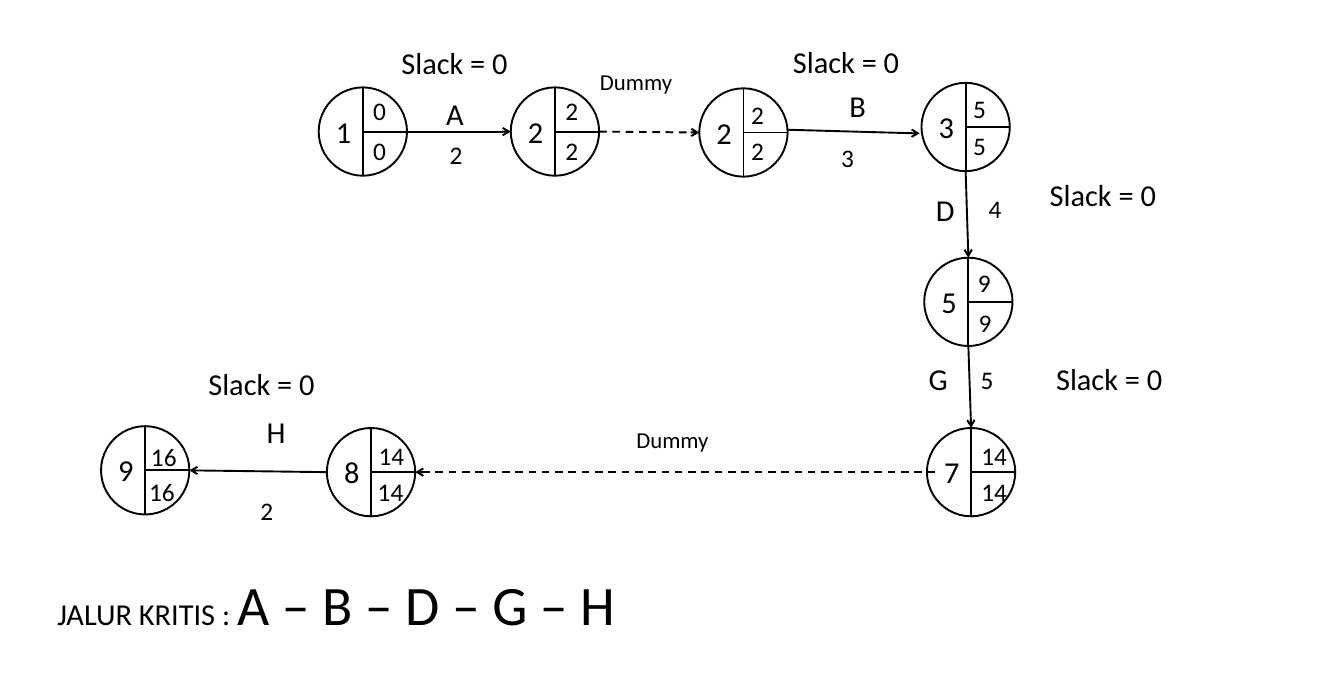
import lxml.etree
import pptx
import pptx.dml.color
import pptx.enum.dml
import pptx.enum.shapes
import pptx.enum.text
import pptx.oxml.ns
import pptx.util

COLUMNS, ROWS = 147.6, 75
CELL = pptx.util.Inches(0.1)
COLOURS = {"ink": "000000", "paper": "FFFFFF"}
DIAMETER = 9.7
SIZES = {"activity": 24, "duration": 20, "dummy": 18, "slack": 24, "event": 24, "time": 20}
BOXES = {"activity": (3.1, 5), "duration": (3.1, 4.4), "dummy": (14.5, 4), "slack": (20.4, 5)}
SIDES = {"top": (0.5, 0), "left": (0, 0.5), "bottom": (0.5, 1), "right": (1, 0.5)}

EVENTS = {
    "start": (35, 9.6, "1", "0", (5, 0.4), (5, 4.8), 3.1),
    "after A": (56.1, 9.6, "2", "2", (5, 0.4), (5, 4.8), 3.1),
    "before B": (76.8, 9.7, "2", "2", (4.7, 0.7), (4.7, 4.7), 5.7),
    "after B": (101.2, 9.1, "3", "5", (4.7, 0.7), (4.7, 4.7), 5.7),
    "after D": (101.5, 28.3, "5", "9", (4.9, 0.5), (5, 4.9), 3.1),
    "after G": (101.8, 47, "7", "14", (5, 0.9), (5, 4.8), 6.4),
    "before H": (35.9, 47, "8", "14", (4.7, 0.8), (4.6, 4.8), 6.4),
    "finish": (11.1, 46.8, "9", "16", (4.5, 1.2), (4.3, 5), 5.3),
}
ACTIVITIES = [
    ("start", "right", (0, 0), "after A", "left", (0, 0), False),
    ("after A", "right", (0, 0), "before B", "left", (0, 0), True),
    ("before B", "right", (0, -0.3), "after B", "left", (-0.2, 0.7), False),
    ("after B", "bottom", (0, 0), "after D", "top", (0, 0), False),
    ("after D", "bottom", (0, 0), "after G", "top", (0, 0), False),
    ("after G", "left", (0.9, 0), "before H", "right", (0, 0), True),
    ("before H", "left", (0, 0), "finish", "right", (0, 0), False),
]
LABELS = {
    "activity": [("A", 48, 10), ("B", 92.3, 9.1), ("D", 101.8, 20.5),
                 ("G", 101, 39.1), ("H", 28.3, 44.9)],
    "duration": [("2", 48.4, 14.8), ("3", 91.4, 15.1), ("4", 107.6, 20.7),
                 ("5", 106.7, 39.5), ("2", 27.6, 53.9)],
    "dummy": [("Dummy", 64.9, 7), ("Dummy", 68.9, 46.3)],
    "slack": [("Slack = 0", *place) for place in
              [(43.1, 4.4), (86.1, 4.2), (114.3, 18.9), (115, 39.1), (21.9, 39.6)]],
}


def grid(cells):
    return round(cells * CELL)


def apply(target, values):
    for name, value in values.items():
        setattr(target, name, value)


def ink():
    return pptx.dml.color.RGBColor.from_string(COLOURS["ink"])


def add_span(para, text, size):
    span = para.add_run()
    span.text = text
    apply(span.font, {"name": "Calibri", "size": pptx.util.Pt(size), "bold": False})
    span.font.color.rgb = ink()


def draw_text(page, text, size, left, top, width, height):
    box = page.shapes.add_textbox(*map(grid, (left, top, width, height)))
    box.text_frame.word_wrap = True
    add_span(box.text_frame.paragraphs[0], text, size)


def draw_line(page, start, end, dashed=False, arrow=False):
    line = page.shapes.add_connector(
        pptx.enum.shapes.MSO_CONNECTOR.STRAIGHT, *map(grid, (*start, *end)))
    line.line.color.rgb = ink()
    line.line.width = pptx.util.Pt(1.5)
    if dashed:
        line.line.dash_style = pptx.enum.dml.MSO_LINE.DASH
    if arrow:
        outline = line.line._get_or_add_ln()
        lxml.etree.SubElement(outline, pptx.oxml.ns.qn("a:tailEnd"), type="arrow")
    lxml.etree.SubElement(line._element.spPr, pptx.oxml.ns.qn("a:effectLst"))


def side_point(event, side, nudge):
    left, top = EVENTS[event][:2]
    across, down = SIDES[side]
    return left + across * DIAMETER + nudge[0], top + down * DIAMETER + nudge[1]


def draw_event(page, left, top, number, time, early, late, time_width):
    circle = page.shapes.add_shape(
        pptx.enum.shapes.MSO_SHAPE.OVAL, *map(grid, (left, top, DIAMETER, DIAMETER)))
    circle.shadow.inherit = False
    circle.fill.background()
    circle.line.color.rgb = ink()
    circle.line.width = pptx.util.Pt(1.5)
    middle, centre = left + DIAMETER / 2, top + DIAMETER / 2
    draw_line(page, (middle, top), (middle, top + DIAMETER))
    draw_line(page, (left + DIAMETER, centre), (middle, centre))
    draw_text(page, number, SIZES["event"], left + 0.9, top + 2.3, 3.1, 5)
    for across, down in (early, late):
        draw_text(page, time, SIZES["time"], left + across, top + down, time_width, 4.4)


def draw_network(page):
    for event in EVENTS.values():
        draw_event(page, *event)
    for source, out, shift, target, into, nudge, dashed in ACTIVITIES:
        draw_line(page, side_point(source, out, shift),
                  side_point(target, into, nudge), dashed, True)
    for kind, labels in LABELS.items():
        for text, left, top in labels:
            draw_text(page, text, SIZES[kind], left, top, *BOXES[kind])


def draw_critical_path(page, left, top, width, height):
    title = page.shapes.title
    apply(title, {"left": grid(left), "top": grid(top),
                  "width": grid(width), "height": grid(height)})
    apply(title.text_frame, {"word_wrap": True,
                             "auto_size": pptx.enum.text.MSO_AUTO_SIZE.NONE,
                             "vertical_anchor": pptx.enum.text.MSO_ANCHOR.TOP})
    para = title.text_frame.paragraphs[0]
    para.alignment = pptx.enum.text.PP_ALIGN.LEFT
    add_span(para, "JALUR KRITIS : ", 24)
    add_span(para, "A – B – D – G – H", 44)


def main():
    deck = pptx.Presentation()
    apply(deck, {"slide_width": grid(COLUMNS), "slide_height": grid(ROWS)})
    page = deck.slides.add_slide(deck.slide_layouts[5])
    page.background.fill.solid()
    page.background.fill.fore_color.rgb = pptx.dml.color.RGBColor.from_string(COLOURS["paper"])
    draw_network(page)
    draw_critical_path(page, 5.3, 62.1, 83.7, 8.4)
    deck.save("out.pptx")


if __name__ == "__main__":
    main()
